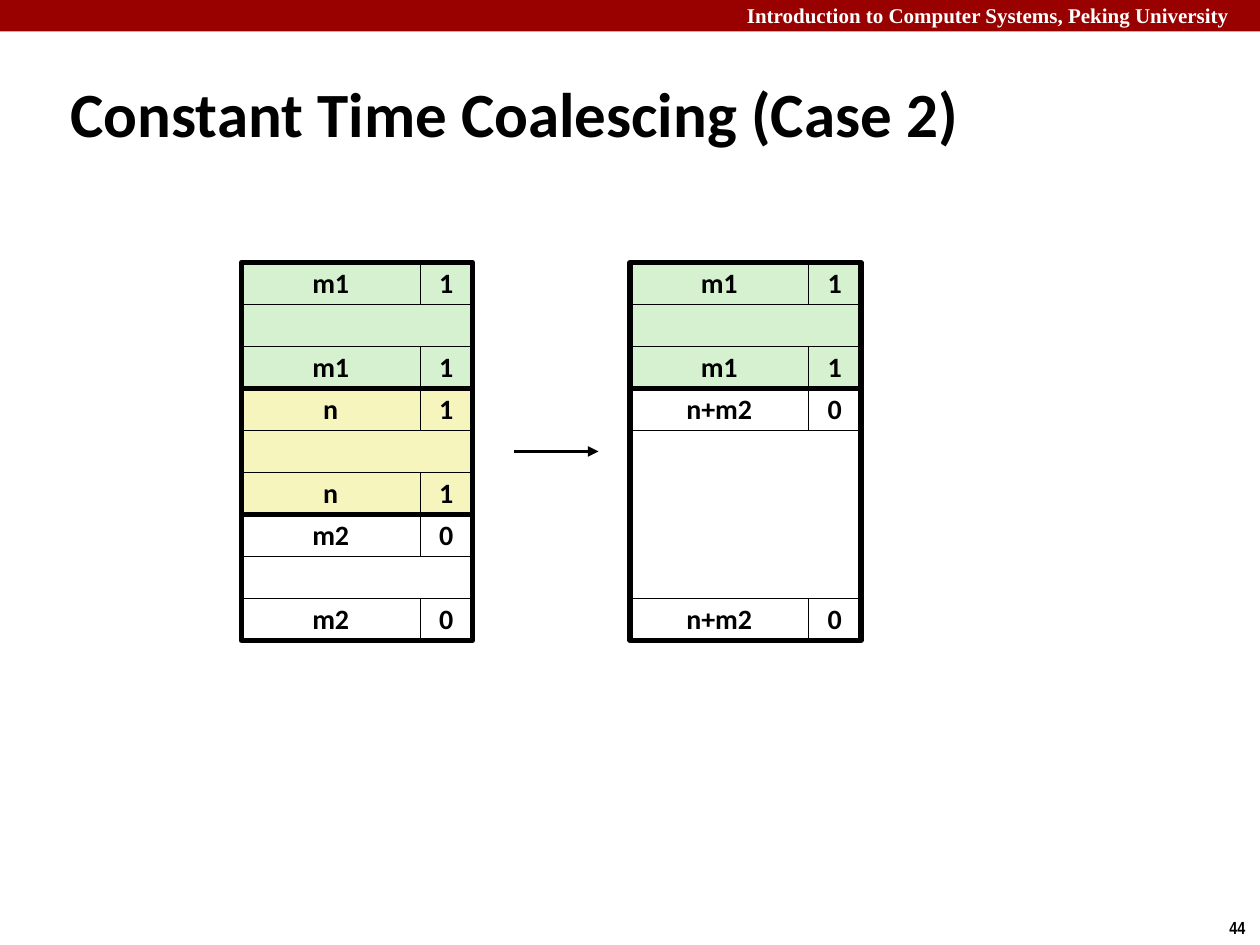
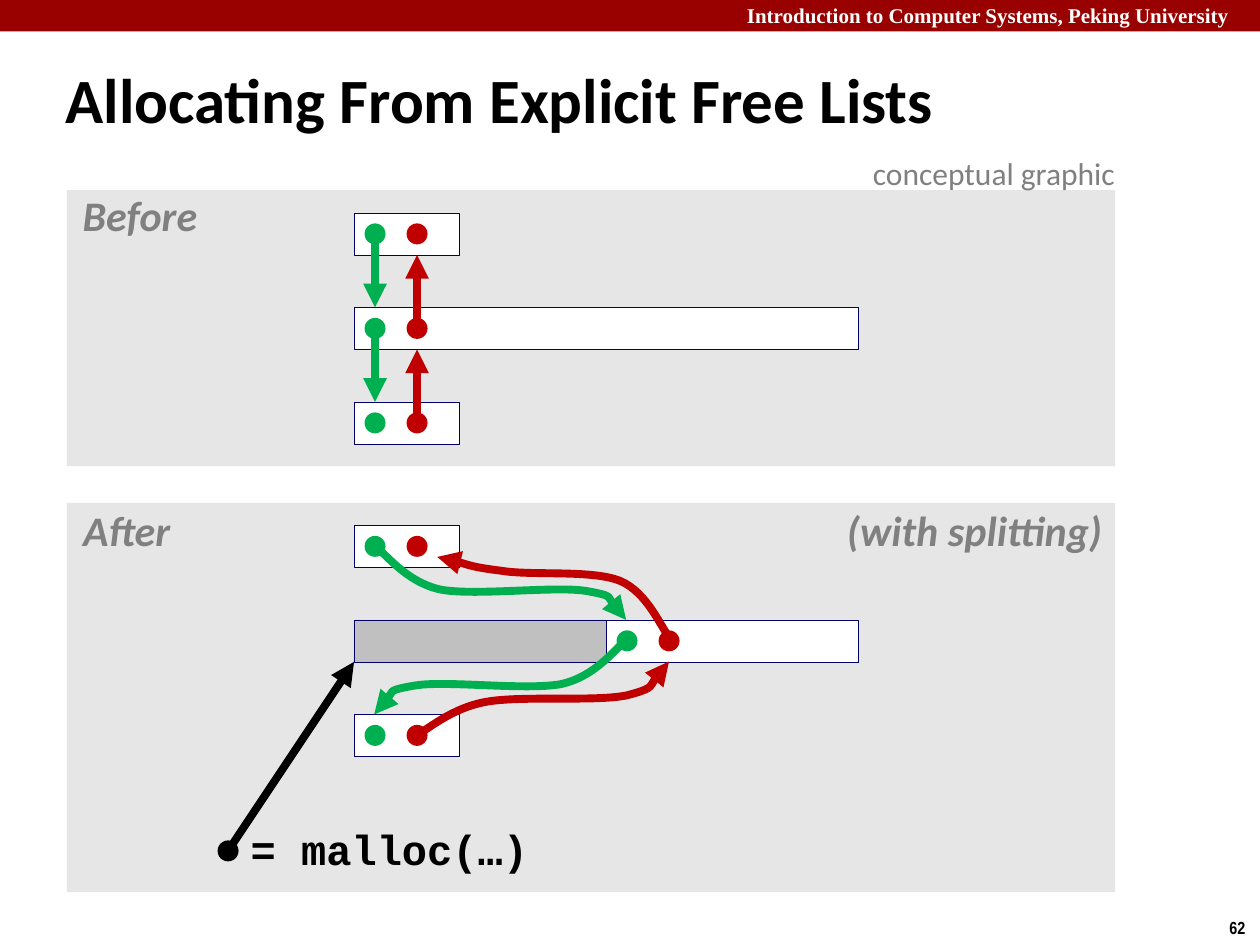
"""Build two slides on coalescing blocks and allocating from free lists."""
from lxml import etree
from pptx import Presentation
from pptx.dml.color import RGBColor
from pptx.enum.shapes import MSO_CONNECTOR, MSO_SHAPE
from pptx.enum.text import MSO_ANCHOR, PP_ALIGN
from pptx.oxml.ns import qn
from pptx.util import Inches, Pt

RECT, OVAL = MSO_SHAPE.RECTANGLE, MSO_SHAPE.OVAL
LINE = MSO_CONNECTOR.STRAIGHT
MID, TOP = MSO_ANCHOR.MIDDLE, MSO_ANCHOR.TOP
LEFT, MIDST = PP_ALIGN.LEFT, PP_ALIGN.CENTER

BLACK, WHITE, BAND, NAVY = "000000", "FFFFFF", "990000", "000066"
MINT, CREAM, PANEL, USED = "D5F1CF", "F6F5BD", "E6E6E6", "C0C0C0"
GREEN, RED, GREY = "00B050", "C00000", "808080"
WIDE, HIGH = 10, 7.5
UNIT = 1 / 12
ROW = 4

HEAD = "Introduction to Computer Systems, Peking University"

COLS = (17, 5)
STACK_TOP = 25
STACKS = [
    (23, [("m1", "1", MINT, 3), ("n", "1", CREAM, 3), ("m2", "0", WHITE, 3)]),
    (60, [("m1", "1", MINT, 3), ("n+m2", "0", WHITE, 6)]),
]

LIST_X, STEP = 2.81, 9
NEXT, PREV, SMALL, LARGE = 2, 6, 10, 48
PANELS = [(1.51, 2.19), (3.99, 3.09)]
TOPS = (1.69, 4.17)
CURVES = [
    (GREEN, [(2.97, 4.33), (3.06, 4.39), (3.22, 4.62), (3.5, 4.68),
             (3.78, 4.73), (4.4, 4.65), (4.65, 4.69),
             (4.89, 4.73), (4.91, 4.87), (4.97, 4.92)]),
    (GREEN, [(4.97, 5.08), (4.89, 5.14), (4.73, 5.37), (4.45, 5.43),
             (4.17, 5.48), (3.54, 5.4), (3.3, 5.44),
             (3.05, 5.48), (3.04, 5.62), (2.97, 5.67)]),
    (RED, [(5.32, 5.07), (5.25, 4.99), (5.14, 4.7), (4.92, 4.61),
           (4.7, 4.52), (4.22, 4.57), (3.98, 4.53),
           (3.74, 4.5), (3.58, 4.44), (3.47, 4.42)]),
    (RED, [(3.31, 5.83), (3.4, 5.79), (3.58, 5.62), (3.86, 5.57),
           (4.14, 5.52), (4.72, 5.57), (4.97, 5.52),
           (5.21, 5.46), (5.24, 5.31), (5.31, 5.25)]),
]
LABELS = [
    ("Before", (0.6, 1.5, 1.02, 0.47), "Calibri", GREY, True),
    ("After", (0.6, 4, 0.81, 0.47), "Calibri", GREY, True),
    ("(with splitting)", (6.66, 4, 2.15, 0.47), "Calibri", GREY, True),
    ("= malloc(…)", (1.93, 6.53, 2.32, 0.47), "Courier New", BLACK, False),
]


def paint(hue):
    return RGBColor.from_string(hue)


def write(shape, text, size, font="Calibri", hue=BLACK, bold=True, slant=False,
          align=LEFT, anchor=TOP, space=None, wrap=False, inset=0.1):
    frame = shape.text_frame
    frame.text = text
    frame.word_wrap = wrap
    frame.vertical_anchor = anchor
    frame.margin_left = frame.margin_right = Inches(inset)
    frame.margin_top = frame.margin_bottom = Inches(0.05)
    para = frame.paragraphs[0]
    para.alignment = align
    para.line_spacing = space
    face = para.runs[0].font
    face.name, face.size = font, Pt(size)
    face.bold, face.italic = bold, slant
    face.color.rgb = paint(hue)


def label(slide, box, text, size, **style):
    write(slide.shapes.add_textbox(*map(Inches, box)), text, size, **style)


def block(slide, box, fill=None, edge=None, width=0.25, kind=RECT):
    shape = slide.shapes.add_shape(kind, *map(Inches, box))
    shape.shadow.inherit = False
    if fill:
        shape.fill.solid()
        shape.fill.fore_color.rgb = paint(fill)
    else:
        shape.fill.background()
    if edge:
        shape.line.color.rgb = paint(edge)
        shape.line.width = Pt(width)
    else:
        shape.line.fill.background()
    return shape


def tip(shape, hue, width):
    shape.line.color.rgb = paint(hue)
    shape.line.width = Pt(width)
    etree.SubElement(shape.line._get_or_add_ln(), qn("a:tailEnd"), type="triangle")


def arrow(slide, start, end, hue, width):
    link = slide.shapes.add_connector(LINE, *map(Inches, (*start, *end)))
    tip(link, hue, width)
    etree.SubElement(link._element.spPr, qn("a:effectLst"))


def curve(slide, hue, points):
    spots = [(Inches(x), Inches(y)) for x, y in points]
    pen = slide.shapes.build_freeform(*spots[0])
    pen.add_line_segments(spots[1:], close=False)
    shape = pen.convert_to_shape()
    shape.shadow.inherit = False
    shape.fill.background()
    tip(shape, hue, 4.5)
    legs = list(shape._element.iter(qn("a:lnTo")))
    for i in range(0, len(legs), 3):
        bend = etree.Element(qn("a:cubicBezTo"))
        legs[i].addprevious(bend)
        for leg in legs[i:i + 3]:
            bend.append(leg[0])
            leg.getparent().remove(leg)


def start(deck, title, box, page, space=None):
    slide = deck.slides.add_slide(deck.slide_layouts[5])
    block(slide, (0, 0, WIDE, 0.25), BAND)
    label(slide, (5.83, -0.03, 4.24, 0.3), HEAD, 12,
          font="Times New Roman", hue=WHITE, wrap=True)
    label(slide, (9.66, 7.23, 0.34, 0.27), page, 10, font="Arial Narrow")
    name = slide.shapes.title
    name.left, name.top, name.width, name.height = map(Inches, box)
    write(name, title, 36, anchor=MID, space=space, wrap=True)
    return slide


def grid(col, row, wide, high):
    return [n * UNIT for n in (col, row, wide, high)]


def stack(slide, col, parts):
    row, full = STACK_TOP, sum(COLS)
    for size, flag, fill, rows in parts:
        high = rows * ROW
        block(slide, grid(col, row + ROW, full, high - 2 * ROW), fill, BLACK)
        for top in (row, row + high - ROW):
            for text, x, wide in zip((size, flag), (col, col + COLS[0]), COLS):
                cell = block(slide, grid(x, top, wide, ROW), fill, BLACK)
                write(cell, text, 16, align=MIDST, anchor=MID, space=0.98)
        block(slide, grid(col, row, full, high), None, BLACK, 3)
        row += high


def spot(top, col, row):
    return LIST_X + col * UNIT, top + row * UNIT


def node(slide, top, col, row, wide, fill=WHITE):
    block(slide, (*spot(top, col, row), wide * UNIT, ROW * UNIT), fill, NAVY)


def dot(slide, x, y, hue):
    block(slide, (x - UNIT, y - UNIT, 2 * UNIT, 2 * UNIT), hue, kind=OVAL)


def pair(slide, top, row, shift=0):
    for col, hue in ((NEXT, GREEN), (PREV, RED)):
        dot(slide, *spot(top, col + shift, row + ROW / 2), hue)


def before(slide, top):
    for i, wide in enumerate((SMALL, LARGE, SMALL)):
        node(slide, top, 0, i * STEP, wide)
        pair(slide, top, i * STEP)
    for row in (0, STEP):
        arrow(slide, spot(top, NEXT, row + ROW / 2),
              spot(top, NEXT, row + STEP), GREEN, 4.5)
        arrow(slide, spot(top, PREV, row + STEP + ROW / 2),
              spot(top, PREV, row + ROW), RED, 4.5)


def after(slide, top):
    half = LARGE / 2
    for row in (0, 2 * STEP):
        node(slide, top, 0, row, SMALL)
        pair(slide, top, row)
    node(slide, top, half, STEP, half)
    node(slide, top, 0, STEP, half, USED)
    pair(slide, top, STEP, half)
    for hue, points in CURVES:
        curve(slide, hue, points)
    root = spot(top, -12, 31)
    dot(slide, *root, BLACK)
    arrow(slide, root, spot(top, 0, STEP + ROW), BLACK, 4.5)


def main():
    deck = Presentation()
    deck.slide_width, deck.slide_height = Inches(WIDE), Inches(HIGH)

    slide = start(deck, "Constant Time Coalescing (Case 2)",
                  (0.46, 0.58, 9.08, 0.63), "44")
    for col, parts in STACKS:
        stack(slide, col, parts)
    arrow(slide, (49 * UNIT, 43 * UNIT), (57 * UNIT, 43 * UNIT), BLACK, 2)

    slide = start(deck, "Allocating From Explicit Free Lists",
                  (0.42, 0.51, 8.75, 0.63), "62", 0.87)
    for top, high in PANELS:
        block(slide, (0.53, top, 8.32, high), PANEL)
    before(slide, TOPS[0])
    after(slide, TOPS[1])
    for text, box, font, hue, slant in LABELS:
        label(slide, box, text, 24, font=font, hue=hue, slant=slant,
              align=MIDST, space=0.9, inset=0.05)
    label(slide, (6.83, 1.17, 2.17, 0.4), "conceptual graphic", 18,
          hue=GREY, bold=False)
    deck.save("out.pptx")


if __name__ == "__main__":
    main()
